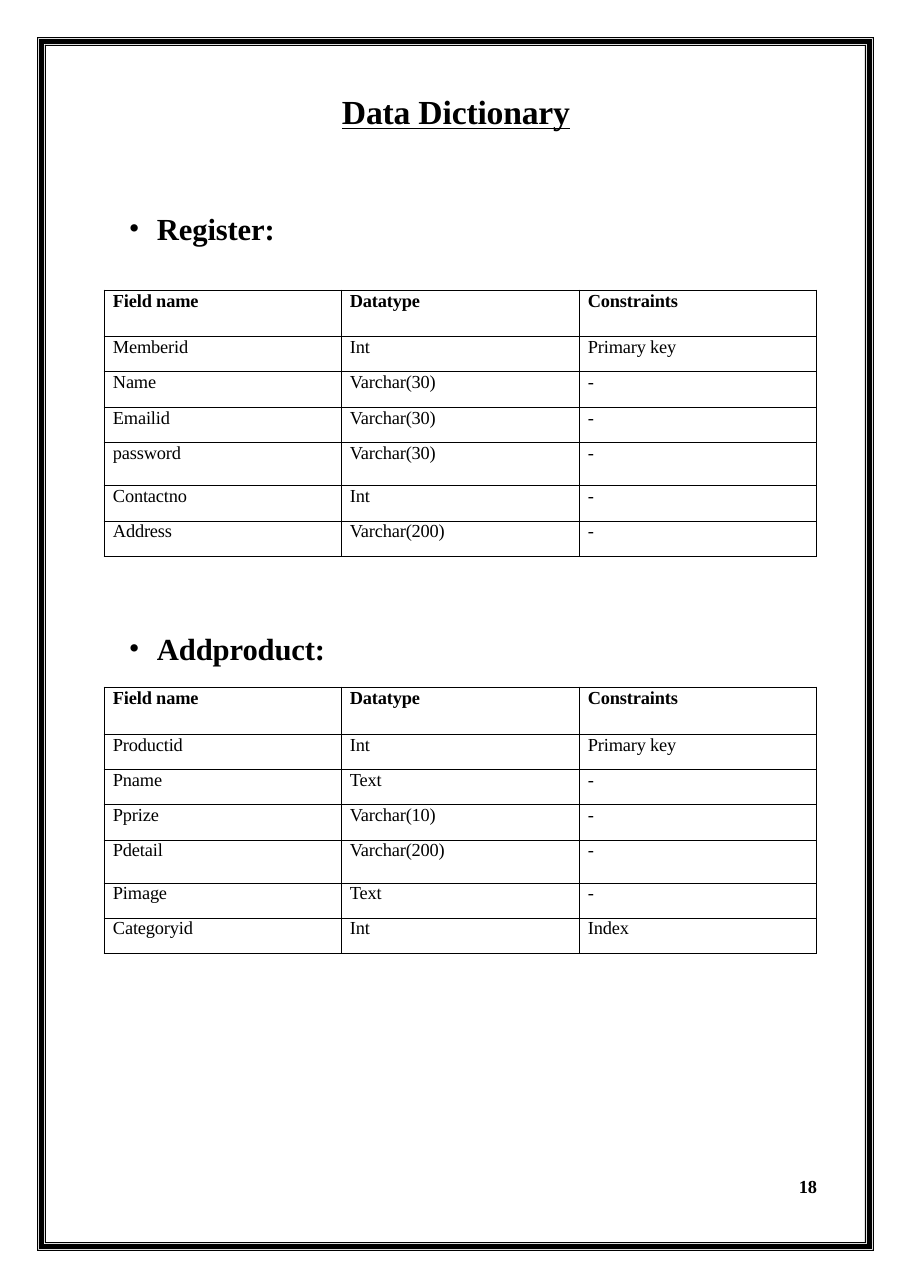
from pptx import Presentation
from pptx.dml.color import RGBColor
from pptx.enum.text import PP_ALIGN as Align
from pptx.oxml.ns import qn
from pptx.util import Pt
from lxml.etree import SubElement

TITLE = "Data Dictionary"
PAGE_NUMBER = "18"
HEADER = ("Field name", "Datatype", "Constraints")
SECTIONS = [
    {"heading": "Register:", "heading_top": 210, "table_top": 290,
     "row_heights": (46, 35, 36, 35, 43, 36, 36),
     "fields": [
         ("Memberid", "Int", "Primary key"),
         ("Name", "Varchar(30)", "-"),
         ("Emailid", "Varchar(30)", "-"),
         ("password", "Varchar(30)", "-"),
         ("Contactno", "Int", "-"),
         ("Address", "Varchar(200)", "-"),
     ]},
    {"heading": "Addproduct:", "heading_top": 630, "table_top": 687,
     "row_heights": (47, 35, 35, 36, 43, 35, 36),
     "fields": [
         ("Productid", "Int", "Primary key"),
         ("Pname", "Text", "-"),
         ("Pprize", "Varchar(10)", "-"),
         ("Pdetail", "Varchar(200)", "-"),
         ("Pimage", "Text", "-"),
         ("Categoryid", "Int", "Index"),
     ]},
]

BLACK = RGBColor(0, 0, 0)
WHITE = RGBColor(255, 255, 255)
FONT = "Times New Roman"
TRACKING = "-10"  # hundredths of a point
EMU_PER_PX = 8298
PAGE_W, PAGE_H = 910, 1288
LEFT, TOP, RIGHT, BOTTOM = 37, 37, 874, 1251
BORDER_DEPTH = 9
BORDER_LINES = [(0, 1), (2, 5), (8, 1)]  # inset, thickness
TABLE_LEFT = 104
COLUMN_WIDTHS = (237, 238, 237)
CELL_INDENT = 9
HEADING_LEFT, HEADING_INDENT = 128, 29


def px(length):
    return round(length * EMU_PER_PX)


def box(*lengths):
    return [px(length) for length in lengths]


def write(paragraph, text, size, **format_values):
    run = paragraph.add_run()
    run.text = text
    font_values = {"name": FONT, "size": Pt(size), **format_values}
    for attribute, value in font_values.items():
        setattr(run.font, attribute, value)
    run.font.color.rgb = BLACK
    run._r.get_or_add_rPr().set("spc", TRACKING)


def set_margins(holder, left=0):
    for side in ("left", "top", "right", "bottom"):
        setattr(holder, f"margin_{side}", px(left) if side == "left" else 0)


def add_line(slide, bounds, text, size, align=Align.LEFT, **format_values):
    """Add a one-line bold text box and return its paragraph."""
    frame = slide.shapes.add_textbox(*box(*bounds)).text_frame
    frame.word_wrap = True
    set_margins(frame)
    paragraph = frame.paragraphs[0]
    paragraph.alignment = align
    write(paragraph, text, size, bold=True, **format_values)
    return paragraph


def add_bullet(paragraph):
    properties = paragraph._p.get_or_add_pPr()
    properties.set("marL", str(px(HEADING_INDENT)))
    properties.set("indent", str(-px(HEADING_INDENT - 1)))
    SubElement(properties, qn("a:buFont"), typeface=FONT)
    SubElement(properties, qn("a:buChar"), char="•")


def border_edges(inset, depth):
    """Edge of each border part at a depth, for the line that starts at inset."""
    end_x, end_y = RIGHT - BORDER_DEPTH, BOTTOM - BORDER_DEPTH
    left, top, right, bottom = LEFT + depth, TOP + depth, RIGHT - depth, BOTTOM - depth
    return [
        [(left, TOP + inset), (left, end_y)],
        [(right, TOP + inset), (right, end_y)],
        [(LEFT + inset, top), (RIGHT - inset, top)],
        [(left, end_y), (left, bottom), (end_x, bottom)],
        [(end_x, bottom), (right, bottom), (right, end_y)],
    ]


def add_border(slide):
    line_edges = [zip(border_edges(inset, inset),
                      border_edges(inset, inset + thickness))
                  for inset, thickness in BORDER_LINES]
    for part in zip(*line_edges):
        outlines = [outer + inner[::-1] for outer, inner in part]
        builder = slide.shapes.build_freeform(*outlines[0][0], scale=EMU_PER_PX)
        for corners in outlines:
            builder.move_to(*corners[0])
            builder.add_line_segments(corners[1:], close=True)
        side = builder.convert_to_shape()
        side.shadow.inherit = False
        side.fill.solid()
        side.fill.fore_color.rgb = BLACK
        side.line.fill.background()


def outline(cell):
    properties = cell._tc.get_or_add_tcPr()
    for side in ("lnL", "lnR", "lnT", "lnB"):
        line = SubElement(properties, qn(f"a:{side}"), w=str(Pt(0.5)))
        fill = SubElement(line, qn("a:solidFill"))
        SubElement(fill, qn("a:srgbClr"), val=str(BLACK))


def add_field_table(slide, top, row_heights, fields):
    rows = [HEADER, *fields]
    table = slide.shapes.add_table(
        len(rows), len(HEADER),
        *box(TABLE_LEFT, top, sum(COLUMN_WIDTHS), sum(row_heights))).table
    table.horz_banding = False
    for column, width in zip(table.columns, COLUMN_WIDTHS):
        column.width = px(width)
    for row, height in zip(table.rows, row_heights):
        row.height = px(height)
    for r, values in enumerate(rows):
        for c, value in enumerate(values):
            cell = table.cell(r, c)
            set_margins(cell, CELL_INDENT)
            outline(cell)
            cell.fill.background()
            paragraph = cell.text_frame.paragraphs[0]
            paragraph.line_spacing = Pt(13.8)
            write(paragraph, value, 12, bold=r == 0)


def main():
    deck = Presentation()
    deck.slide_width, deck.slide_height = box(PAGE_W, PAGE_H)
    slide = deck.slides.add_slide(deck.slide_layouts[6])
    slide.background.fill.solid()
    slide.background.fill.fore_color.rgb = WHITE

    add_border(slide)
    add_line(slide, (128, 91, 656, 40), TITLE, 22, Align.CENTER, underline=True)
    for section in SECTIONS:
        heading_bounds = (HEADING_LEFT, section["heading_top"], 300, 36)
        add_bullet(add_line(slide, heading_bounds, section["heading"], 20))
        add_field_table(slide, section["table_top"], section["row_heights"],
                        section["fields"])
    add_line(slide, (777, 1175, 40, 22), PAGE_NUMBER, 12, Align.RIGHT)
    deck.save("out.pptx")


if __name__ == "__main__":
    main()
